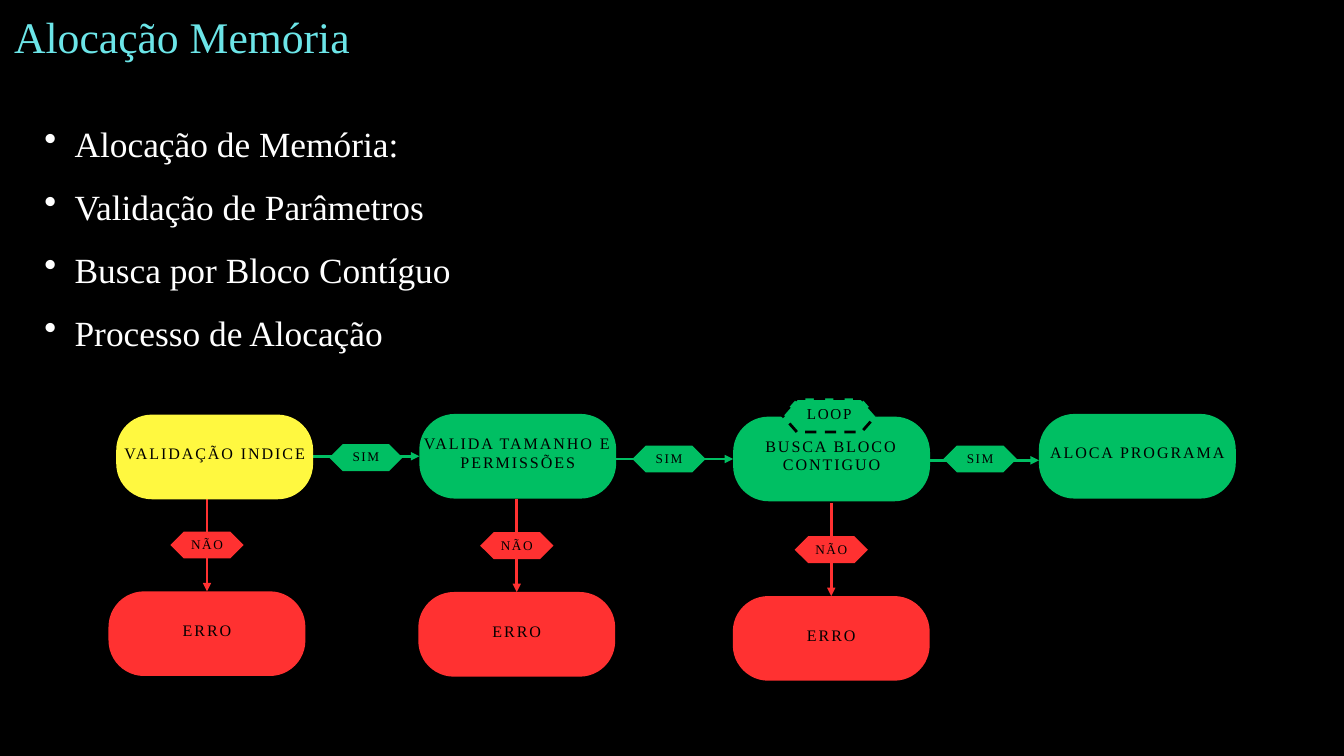
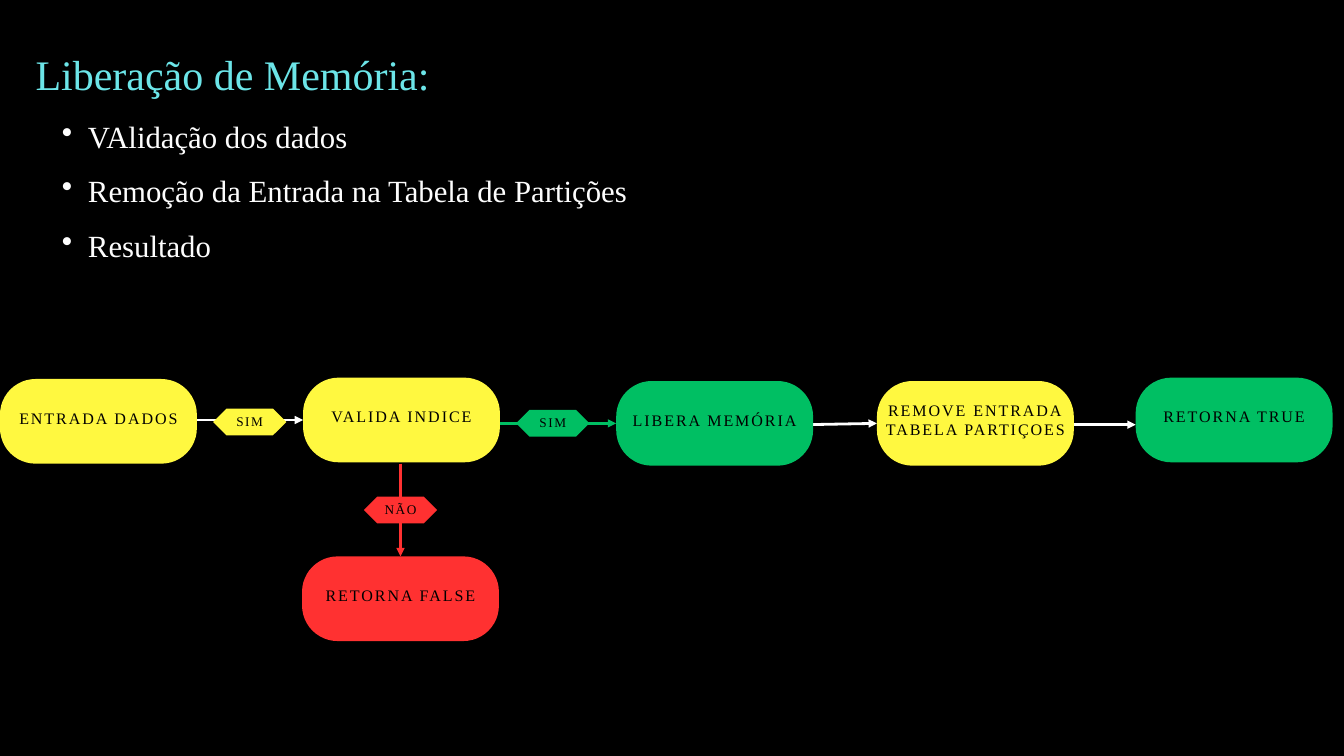
from dataclasses import dataclass
from typing import Optional

from lxml.etree import SubElement
from pptx import Presentation
from pptx.dml.color import RGBColor
from pptx.enum.dml import MSO_LINE
from pptx.enum.shapes import MSO_CONNECTOR, MSO_SHAPE
from pptx.enum.text import MSO_ANCHOR as Anchor, MSO_AUTO_SIZE as AutoSize, PP_ALIGN as Align
from pptx.oxml.ns import qn
from pptx.util import Inches, Pt

# Grid: 20 columns by 11.25 rows of square cells
COLS, ROWS = 20, 11.25
CELL = Inches(1)


def g(cells: float) -> int:
    return round(cells * CELL)


@dataclass(frozen=True)
class Theme:
    font: str = "Times New Roman"
    back: str = "000000"
    ink: str = "000000"
    title: str = "6CE5E8"
    white: str = "FFFFFF"
    soft_white: str = "FDFDFD"
    yes: str = "00BF63"
    no: str = "FF3131"
    step: str = "FFF840"
    line: float = 3
    label_pad: float = 0.06


T = Theme()


@dataclass(frozen=True)
class BlockStyle:
    shape: MSO_SHAPE
    w: float
    h: float
    adjust: float
    size: float
    leading: float
    spacing: float
    side: float  # label margin left and right
    rise: float  # how far the label starts above the block
    dashed: bool = False


NODE = BlockStyle(MSO_SHAPE.ROUNDED_RECTANGLE, 2.93, 1.26, 0.42, 17.2, 19.8, 2.1, 0, 0.1)
TAG = BlockStyle(MSO_SHAPE.HEXAGON, 1.09, 0.4, 0.5, 14.2, 16.4, 1.7, 0.15, 0.02)
LOOP = BlockStyle(MSO_SHAPE.HEXAGON, 1.4, 0.5, 0.44, 16.2, 18.7, 1.9, 0.17, 0.04, True)


@dataclass(frozen=True)
class Block:
    x: float
    y: float
    text: str
    fill: str
    style: BlockStyle = NODE


@dataclass(frozen=True)
class Link:
    x1: float
    x2: float
    y1: float
    y2: float
    color: str = T.yes
    tag_mid: Optional[float] = None  # centre height of the SIM tag
    tag_fill: str = T.yes


@dataclass(frozen=True)
class Drop:
    """Failure branch: arrow down, NÃO tag and closing block."""
    x: float
    y: float
    text: str = "ERRO"


@dataclass(frozen=True)
class Heading:
    text: str
    x: float
    y: float
    w: float
    size: float
    leading: float


@dataclass(frozen=True)
class Bullets:
    items: tuple[str, ...]
    y: float
    size: float
    leading: float
    indent: float
    color: str


@dataclass(frozen=True)
class FlowSlide:
    heading: Heading
    bullets: Bullets
    links: tuple[Link, ...]
    drops: tuple[Drop, ...]
    blocks: tuple[Block, ...]


LINK_TAG_GAP = 0.24
DROP_LENGTH = 1.38
DROP_TAG_GAP = 0.49

SLIDES = (
    FlowSlide(
        Heading("Alocação Memória", 0.21, 0.15, 8.65, 46.8, 56.2),
        Bullets(("Alocação de Memória:", "Validação de Parâmetros",
                 "Busca por Bloco Contíguo", "Processo de Alocação"),
                1.51, 37.9, 67.4, 0.45, T.white),
        (Link(4.66, 6.24, 6.79, 6.79, tag_mid=6.81),
         Link(9.17, 10.91, 6.83, 6.83, tag_mid=6.83),
         Link(13.8, 15.46, 6.85, 6.85, tag_mid=6.83)),
        (Drop(3.08, 7.42), Drop(7.69, 7.43), Drop(12.37, 7.49)),
        (Block(1.73, 6.17, "VALIDAÇÃO INDICE", T.step),
         Block(6.24, 6.16, "VALIDA TAMANHO E PERMISSÕES", T.yes),
         Block(10.91, 6.2, "BUSCA BLOCO CONTIGUO", T.yes),
         Block(11.64, 5.93, "LOOP", T.yes, LOOP),
         Block(15.46, 6.16, "ALOCA PROGRAMA", T.yes)),
    ),
    FlowSlide(
        Heading("Liberação de Memória:", 0.53, 0.6, 9.76, 45, 63),
        Bullets(("VAlidação dos dados", "Remoção da Entrada na Tabela de Partições",
                 "Resultado"),
                1.48, 33, 58.7, 0.39, T.soft_white),
        (Link(2.93, 4.51, 6.25, 6.25, T.white, 6.28, T.step),
         Link(7.44, 9.17, 6.3, 6.3, tag_mid=6.3),
         Link(11.99, 13.05, 6.32, 6.3, T.white),
         Link(15.95, 16.9, 6.32, 6.32, T.white)),
        (Drop(5.96, 6.9, "RETORNA FALSE"),),
        (Block(0, 5.64, "ENTRADA DADOS", T.step),
         Block(4.51, 5.62, "VALIDA INDICE", T.step),
         Block(9.17, 5.67, "LIBERA MEMÓRIA", T.yes),
         Block(13.05, 5.67, "REMOVE ENTRADA TABELA PARTIÇOES", T.step),
         Block(16.9, 5.62, "RETORNA TRUE", T.yes)),
    ),
)


# Text helpers
def rgb(color: str) -> RGBColor:
    return RGBColor.from_string(color)


def set_frame(tf, pad: float = 0, anchor=Anchor.TOP) -> None:
    tf.word_wrap = True
    tf.auto_size = AutoSize.NONE
    tf.vertical_anchor = anchor
    tf.margin_left = tf.margin_right = tf.margin_top = tf.margin_bottom = g(pad)


def write(p, text: str, size: float, color: str, leading: float, align):
    p.alignment = align
    p.line_spacing = Pt(leading)
    r = p.add_run()
    r.text = text
    r.font.name = T.font
    r.font.size = Pt(size)
    r.font.color.rgb = rgb(color)
    return r


def draw_heading(s, h: Heading) -> None:
    sp = s.shapes.title
    sp.left, sp.top, sp.width, sp.height = g(h.x), g(h.y), g(h.w), Pt(h.leading)
    set_frame(sp.text_frame)
    write(sp.text_frame.paragraphs[0], h.text, h.size, T.title, h.leading, Align.LEFT)


def draw_bullets(s, h: Heading, b: Bullets) -> None:
    sp = s.shapes.add_textbox(g(h.x), g(b.y), g(h.w), Pt(b.leading * len(b.items)))
    tf = sp.text_frame
    set_frame(tf)
    for i, item in enumerate(b.items):
        p = tf.add_paragraph() if i else tf.paragraphs[0]
        p.level = 1
        write(p, item, b.size, b.color, b.leading, Align.JUSTIFY)
        pPr = p._p.get_or_add_pPr()
        pPr.set("marL", str(g(2 * b.indent)))
        pPr.set("indent", str(-g(b.indent)))
        SubElement(pPr, qn("a:buChar")).set("char", "•")


# Flow parts
def draw_block(s, b: Block) -> None:
    st = b.style
    shapes = s.shapes.add_group_shape().shapes
    sp = shapes.add_shape(st.shape, g(b.x), g(b.y), g(st.w), g(st.h))
    sp.adjustments[0] = st.adjust
    sp.shadow.inherit = False
    sp.fill.solid()
    sp.fill.fore_color.rgb = rgb(b.fill)
    if st.dashed:
        sp.line.color.rgb = rgb(T.ink)
        sp.line.width = Pt(T.line)
        sp.line.dash_style = MSO_LINE.DASH
    else:
        sp.line.fill.background()

    label = shapes.add_textbox(g(b.x + st.side), g(b.y - st.rise),
                               g(st.w - 2 * st.side), g(st.h + st.rise))
    set_frame(label.text_frame, T.label_pad, Anchor.MIDDLE)
    r = write(label.text_frame.paragraphs[0], b.text, st.size, T.ink, st.leading, Align.CENTER)
    r._r.get_or_add_rPr().set("spc", str(round(st.spacing * 100)))


def draw_arrow(s, x1: float, y1: float, x2: float, y2: float, color: str) -> None:
    cx = s.shapes.add_connector(MSO_CONNECTOR.STRAIGHT, g(x1), g(y1), g(x2), g(y2))
    cx.line.color.rgb = rgb(color)
    cx.line.width = Pt(T.line)
    SubElement(cx.line._get_or_add_ln(), qn("a:tailEnd")).set("type", "triangle")
    SubElement(cx._element.spPr, qn("a:effectLst"))


def draw_link(s, k: Link) -> None:
    draw_arrow(s, k.x1, k.y1, k.x2, k.y2, k.color)
    if k.tag_mid is not None:
        draw_block(s, Block(k.x1 + LINK_TAG_GAP, k.tag_mid - TAG.h / 2, "SIM", k.tag_fill, TAG))


def draw_drop(s, d: Drop) -> None:
    end = d.y + DROP_LENGTH
    draw_block(s, Block(d.x - NODE.w / 2, end, d.text, T.no))
    draw_arrow(s, d.x, d.y, d.x, end, T.no)
    draw_block(s, Block(d.x - TAG.w / 2, d.y + DROP_TAG_GAP, "NÃO", T.no, TAG))


def build_slide(prs, spec: FlowSlide) -> None:
    s = prs.slides.add_slide(prs.slide_layouts.get_by_name("Title Only"))
    draw_heading(s, spec.heading)
    draw_bullets(s, spec.heading, spec.bullets)
    for link in spec.links:
        draw_link(s, link)
    for drop in spec.drops:
        draw_drop(s, drop)
    for block in spec.blocks:
        draw_block(s, block)


def main() -> None:
    prs = Presentation()
    prs.slide_width, prs.slide_height = g(COLS), g(ROWS)
    fill = prs.slide_master.background.fill
    fill.solid()
    fill.fore_color.rgb = rgb(T.back)
    for flow in SLIDES:
        build_slide(prs, flow)
    prs.save("out.pptx")


if __name__ == "__main__":
    main()
